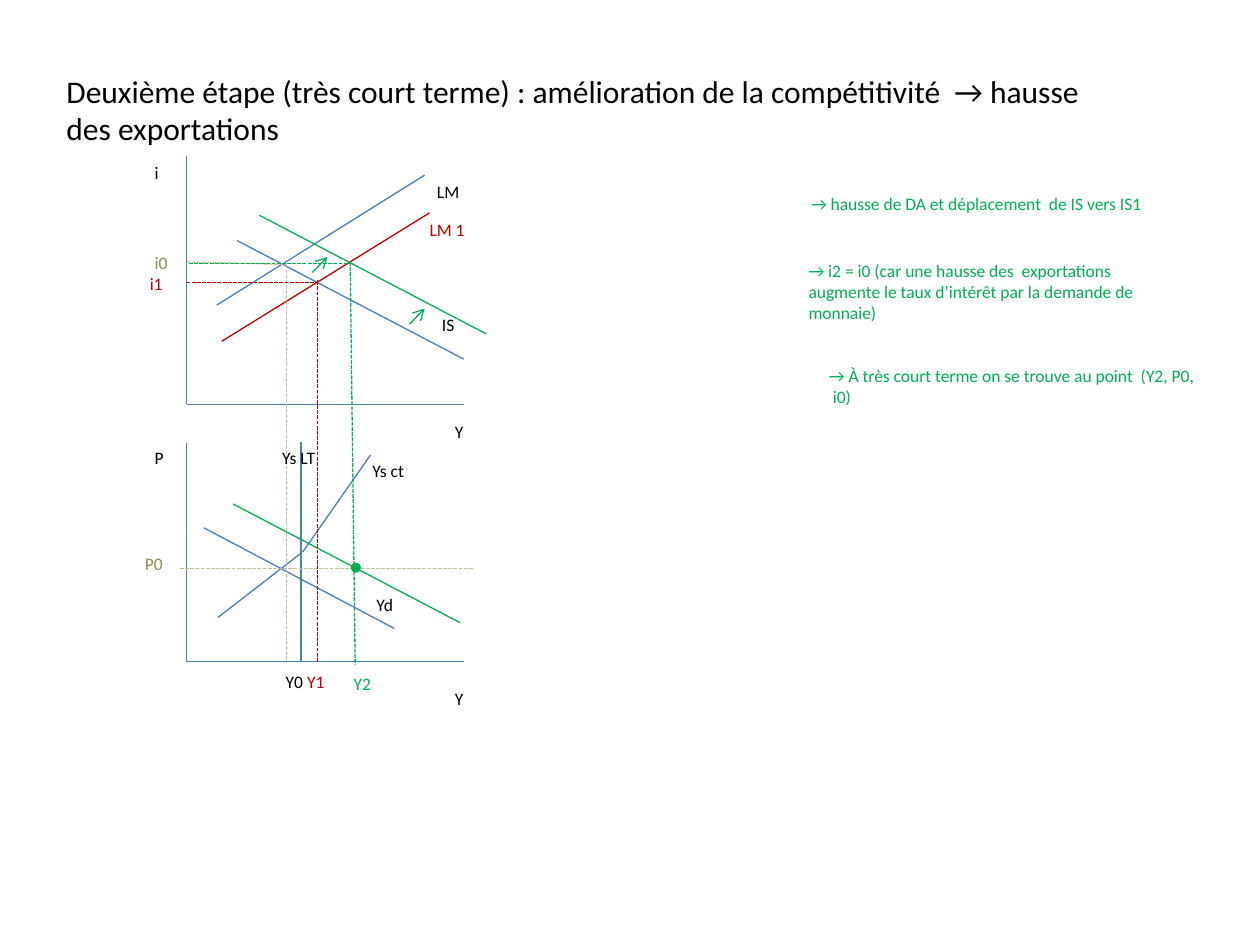
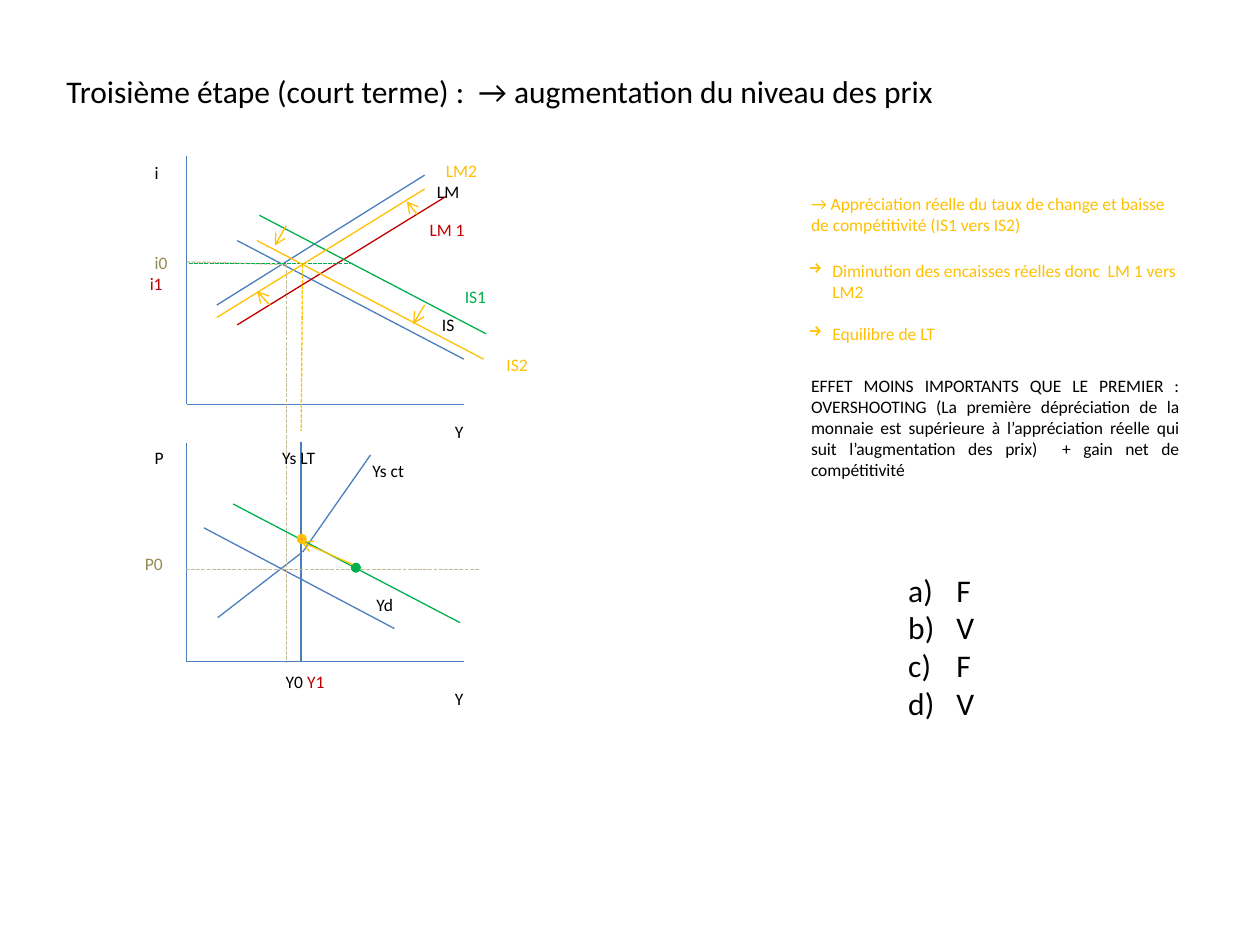
from lxml.etree import SubElement
from pptx import Presentation
from pptx.dml.color import RGBColor
from pptx.enum.dml import MSO_LINE
from pptx.enum.shapes import MSO_CONNECTOR, MSO_SHAPE
from pptx.enum.text import MSO_AUTO_SIZE, PP_ALIGN
from pptx.oxml.ns import qn
from pptx.util import Cm, Pt

COLORS = {
    "black": "000000", "blue": "4B7EBC", "sand": "C4BD97", "olive": "948A54",
    "red": "C00000", "green": "00B050", "gold": "FFC000", "orange": "F79646",
}

# Axes shared by both diagrams, in centimetres
AXIS_X, AXIS_END = 3.76, 9.35
TOP_AXIS_Y, BOTTOM_AXIS_Y = 8.15, 13.34
LT_X, Y0_X, Y1_X = 6.07, 5.77, 6.4


class Deck:
    """Holds the style and the slide being drawn."""

    font = "Calibri"
    small, large = 10, 18

    def __init__(self):
        self.prs = Presentation()
        self.prs.slide_width, self.prs.slide_height = Cm(25.4), Cm(19.05)
        self.slide = None

    def color(self, name):
        return RGBColor.from_string(COLORS[name])

    def new_slide(self, title, height):
        self.slide = self.prs.slides.add_slide(self.prs.slide_layouts[6])
        self.text([title], 1.09, 1.32, 21.79, height, size=self.large)

    def text(self, paragraphs, left, top, width, height, color="black",
             size=small, align=PP_ALIGN.LEFT, bullet=None, indent=0, gap=0):
        box = self.slide.shapes.add_textbox(Cm(left), Cm(top), Cm(width), Cm(height))
        frame = box.text_frame
        frame.word_wrap = True
        frame.auto_size = MSO_AUTO_SIZE.SHAPE_TO_FIT_TEXT
        for index, content in enumerate(paragraphs):
            paragraph = frame.paragraphs[0] if index == 0 else frame.add_paragraph()
            paragraph.alignment = align
            if index and gap:
                paragraph.space_before = Pt(gap)
            run = paragraph.add_run()
            run.text = content
            run.font.name, run.font.size = self.font, Pt(size)
            run.font.color.rgb = self.color(color)
            if bullet:
                tag, attributes = bullet
                properties = paragraph._p.get_or_add_pPr()
                properties.set("marL", str(Cm(indent)))
                properties.set("indent", str(-Cm(indent)))
                SubElement(properties, qn(tag), attributes)

    def label(self, content, left, top, width=1.4, color="black"):
        self.text([content], left, top, width, 0.69, color)

    def line(self, start, end, color="blue", dashed=False, arrow=False):
        connector = self.slide.shapes.add_connector(
            MSO_CONNECTOR.STRAIGHT, *(Cm(value) for value in start + end))
        connector.line.color.rgb = self.color(color)
        connector.line.width = Pt(0.75)
        if dashed:
            connector.line.dash_style = MSO_LINE.SQUARE_DOT
        if arrow:
            SubElement(connector.line._get_or_add_ln(), qn("a:tailEnd"), type="arrow")
        SubElement(connector._element.spPr, qn("a:effectLst"))

    def arrows(self, color, *moves):
        for start, end in moves:
            self.line(start, end, color, arrow=True)

    def point(self, left, top, fill, outline):
        dot = self.slide.shapes.add_shape(
            MSO_SHAPE.OVAL, Cm(left), Cm(top), Cm(0.13), Cm(0.13))
        dot.shadow.inherit = False
        dot.fill.solid()
        dot.fill.fore_color.rgb = self.color(fill)
        dot.line.color.rgb = self.color(outline)
        dot.line.width = Pt(2)


def draw_base(deck, lm1_start, lm1_end, p0_start, p0_end):
    """IS-LM diagram above the supply and demand diagram."""
    # Axes
    deck.line((AXIS_X, 3.15), (AXIS_X, TOP_AXIS_Y))
    deck.line((AXIS_X, 8.94), (AXIS_X, BOTTOM_AXIS_Y))
    for axis_y in (TOP_AXIS_Y, BOTTOM_AXIS_Y):
        deck.line((AXIS_END, axis_y), (AXIS_X, axis_y))

    # Curves
    for start, end in (
        ((4.37, 6.15), (8.56, 3.53)),                 # LM
        ((9.35, 7.24), (4.78, 4.85)),                 # IS
        ((4.39, 12.45), (LT_X, 11.15)),               # Ys ct, flat part
        ((6.1, 11.13), (7.47, 9.17)),                 # Ys ct, steep part
        ((LT_X, BOTTOM_AXIS_Y), (LT_X, 8.92)),        # Ys LT
        ((4.11, 10.64), (7.95, 12.67)),               # Yd
    ):
        deck.line(start, end)
    deck.line(lm1_start, lm1_end, "red")
    deck.line((5.23, 4.34), (9.8, 6.73), "green")     # IS1
    deck.line((4.7, 10.16), (9.27, 12.55), "green")   # Yd after the shift

    # Guides
    deck.line((Y0_X, 5.33), (Y0_X, BOTTOM_AXIS_Y), "sand", dashed=True)
    deck.line((AXIS_X, 5.28), (Y0_X, 5.33), "sand", dashed=True)
    deck.line(p0_start, p0_end, "sand", dashed=True)
    deck.line((3.81, 5.31), (7.06, 5.31), "green", dashed=True)
    deck.point(7.11, 11.38, "green", "green")

    # Labels
    for name, left, top, width, color in (
        ("LM", 8.56, 3.53, 1.4, "black"),
        ("LM 1", 8.41, 4.29, 1.4, "red"),
        ("IS", 8.66, 6.2, 1.4, "black"),
        ("i", 2.87, 3.15, 0.71, "black"),
        ("P", 2.87, 8.89, 0.71, "black"),
        ("Y", 8.92, 8.36, 0.71, "black"),
        ("Y", 8.92, 13.74, 0.71, "black"),
        ("Ys ct", 7.26, 9.14, 1.47, "black"),
        ("Ys LT", 5.44, 8.89, 1.55, "black"),
        ("Yd", 7.34, 11.86, 1.57, "black"),
        ("i0", 2.87, 4.95, 0.89, "olive"),
        ("i1", 2.77, 5.38, 0.89, "red"),
        ("P0", 2.67, 11.02, 0.89, "olive"),
        ("Y0", 5.51, 13.41, 0.94, "black"),
        ("Y1", 5.94, 13.41, 0.94, "red"),
    ):
        deck.label(name, left, top, width, color)


def draw_second_step(deck):
    deck.new_slide("Deuxième étape (très court terme) : amélioration de la "
                   "compétitivité  → hausse des exportations", 1.8)
    draw_base(deck, (4.47, 6.88), (8.66, 4.29), (9.53, 11.46), (3.61, 11.46))

    # Equilibria at Y1 and Y2
    deck.line((AXIS_X, 5.69), (Y1_X, 5.69), "red", dashed=True)
    deck.line((Y1_X, BOTTOM_AXIS_Y), (Y1_X, 5.64), "red", dashed=True)
    deck.line((7.06, 5.28), (7.16, 13.41), "green", dashed=True)
    deck.label("Y2", 6.88, 13.44, 0.89, "green")
    deck.arrows("green", ((6.3, 5.49), (6.6, 5.18)), ((8.26, 6.53), (8.56, 6.22)))

    # Explanation
    for note, left, top, width, height in (
        ("→ hausse de DA et déplacement  de IS vers IS1", 16.1, 3.76, 7.8, 0.69),
        ("→ i2 = i0 (car une hausse des  exportations augmente le taux d’intérêt "
         "par la demande de monnaie)", 16.05, 5.11, 7.92, 1.55),
        ("→ À très court terme on se trouve au point  (Y2, P0,  i0)",
         16.46, 7.24, 7.92, 1.12),
    ):
        deck.text([note], left, top, width, height, "green")


def draw_third_step(deck):
    deck.new_slide("Troisième étape (court terme) :  → augmentation du niveau des prix",
                   1.02)
    draw_base(deck, (4.78, 6.55), (8.99, 3.96), (9.65, 11.48), (3.73, 11.48))

    # Return to the long-term equilibrium
    deck.line((5.18, 4.85), (9.75, 7.24), "gold")     # IS2
    deck.line((4.37, 6.4), (8.56, 3.81), "gold")      # LM2
    deck.line((6.1, 5.33), (LT_X, 8.69), "gold", dashed=True)
    deck.arrows(
        "gold",
        ((8.56, 6.15), (8.33, 6.53)), ((5.77, 4.55), (5.54, 4.95)),
        ((5.44, 6.15), (5.18, 5.87)), ((8.41, 4.32), (8.2, 4.06)),
        ((7.11, 11.38), (LT_X, 10.92)))
    deck.point(6.02, 10.8, "orange", "gold")
    deck.label("IS1", 9.12, 5.64, color="green")
    deck.label("IS2", 9.96, 7.01, color="gold")
    deck.label("LM2", 8.74, 3.1, color="gold")

    # Explanation
    deck.text(["→ Appréciation réelle du taux de change et baisse de compétitivité "
               "(IS1 vers IS2)"], 16.1, 3.76, 7.8, 1.12, "gold")
    deck.text(["Diminution des encaisses réelles donc  LM 1 vers LM2", "Equilibre de LT"],
              16.05, 5.11, 7.92, 1.96, "gold",
              bullet=("a:buChar", {"char": "→"}), indent=0.48, gap=12)
    deck.text(["EFFET MOINS IMPORTANTS QUE LE PREMIER : OVERSHOOTING (La première "
               "dépréciation de la monnaie est supérieure à l’appréciation réelle qui "
               "suit l’augmentation des prix)  + gain net de compétitivité"],
              16.1, 7.44, 7.92, 2.39, align=PP_ALIGN.JUSTIFY)

    # Answers
    deck.text(["F", "V", "F", "V"], 18.06, 11.38, 2.01, 3.33, size=deck.large,
              bullet=("a:buAutoNum", {"type": "alphaLcParenR"}), indent=0.97)


def main():
    deck = Deck()
    draw_second_step(deck)
    draw_third_step(deck)
    deck.prs.save("out.pptx")


if __name__ == "__main__":
    main()
